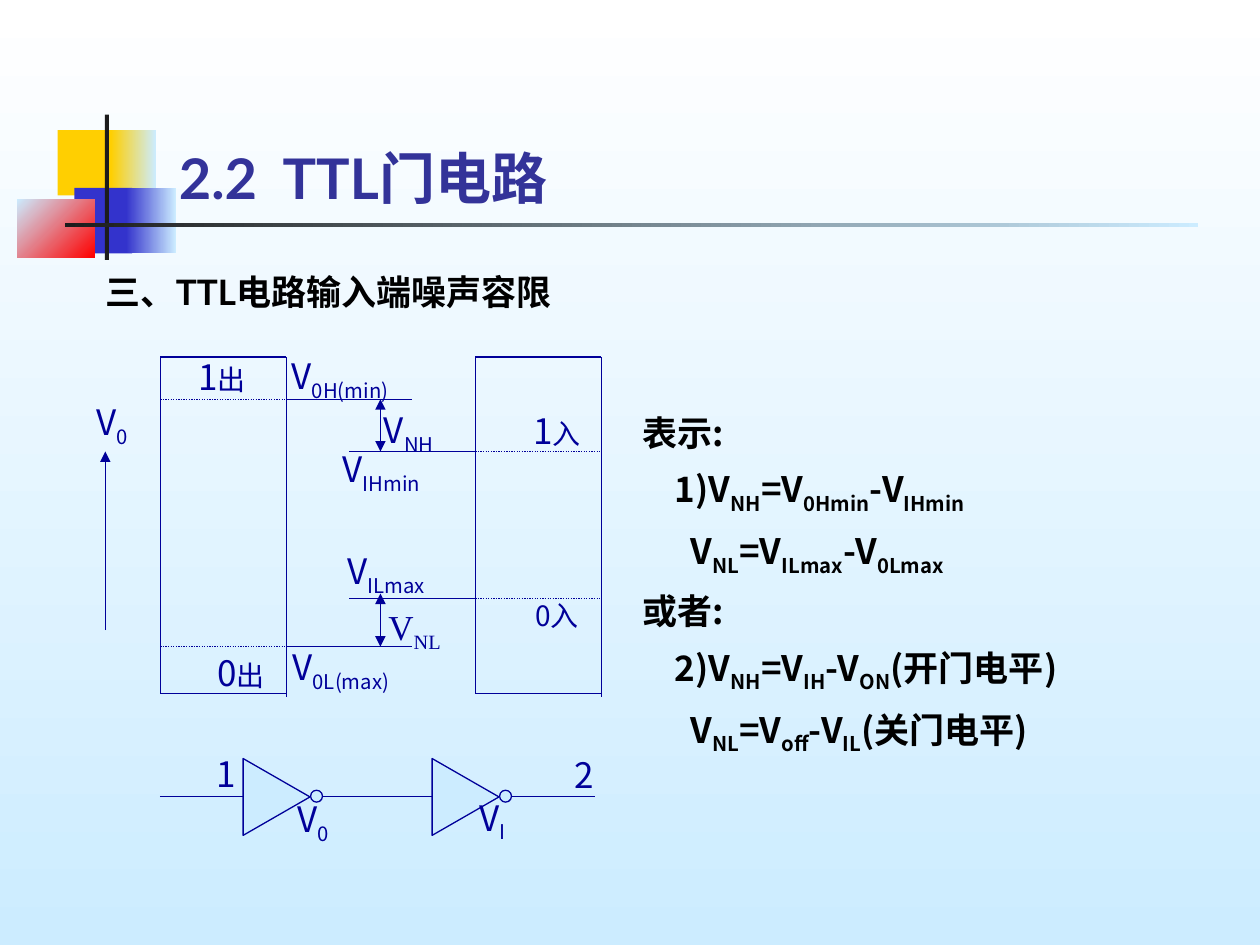
from lxml import etree
from pptx import Presentation
from pptx import util as u
from pptx.dml.color import RGBColor
from pptx.enum import dml, shapes, text
from pptx.oxml.ns import qn

SANS, SERIF, LATIN = "Noto Sans CJK SC", "Times New Roman", "Lato"
NAVY, SKY, BLACK, CHARCOAL = "000099", "CCECFF", "000000", "1C1C1C"
YELLOW, BLUE = "FFCF01", "3333CC"


def color(hex_string):
    return RGBColor.from_string(hex_string)


def write(paragraph, content, size=20, font=SANS, ink=NAVY, bold=False):
    """Add runs to a paragraph; text between tildes is subscript."""
    for i, piece in enumerate(content.split("~")):
        if not piece:
            continue
        run = paragraph.add_run()
        run.text = piece
        run.font.size = u.Pt(size)
        run.font.bold = bold
        run.font.color.rgb = color(ink)
        run.font.name = font
        properties = run._r.get_or_add_rPr()
        etree.SubElement(properties, qn("a:ea")).set("typeface", SANS)
        if i % 2:
            properties.set("baseline", "-25000")


def blend(fill, start, end, angle):
    """Two-colour gradient, angle clockwise in degrees."""
    fill.gradient()
    fill.gradient_angle = (360 - angle) % 360
    for stop, hex_string in zip(fill.gradient_stops, (start, end)):
        stop.color.rgb = color(hex_string)


class Board:
    ink = NAVY
    stroke = 0.75

    def __init__(self, slide):
        self.slide = slide

    def title(self, content, x, y, w, h):
        heading = self.slide.shapes.title
        heading.left, heading.top, heading.width, heading.height = map(u.Pt, (x, y, w, h))
        frame = heading.text_frame
        frame.margin_left = u.Pt(12.2)
        frame.vertical_anchor = text.MSO_ANCHOR.BOTTOM
        frame.paragraphs[0].alignment = text.PP_ALIGN.LEFT
        write(frame.paragraphs[0], content, size=32, font=LATIN, ink="333399", bold=True)

    def shape(self, kind, x, y, w, h, fill=SKY, fade=None, angle=0, outline=False, turn=0):
        part = self.slide.shapes.add_shape(kind, *map(u.Pt, (x, y, w, h)))
        part.shadow.inherit = False
        part.rotation = turn
        if fade:
            blend(part.fill, fill, fade, angle)
        else:
            part.fill.solid()
            part.fill.fore_color.rgb = color(fill)
        if outline:
            part.line.color.rgb = color(self.ink)
            part.line.width = u.Pt(self.stroke)
        else:
            part.line.fill.background()

    def line(self, x1, y1, x2, y2, dotted=False, arrows=()):
        wire = self.slide.shapes.add_connector(
            shapes.MSO_CONNECTOR.STRAIGHT, *map(u.Pt, (x1, y1, x2, y2)))
        wire.line.color.rgb = color(self.ink)
        wire.line.width = u.Pt(self.stroke)
        if dotted:
            wire.line.dash_style = dml.MSO_LINE.ROUND_DOT
        for end in arrows:
            etree.SubElement(wire.line._get_or_add_ln(), qn(f"a:{end}")).set("type", "triangle")
        etree.SubElement(wire._element.spPr, qn("a:effectLst"))

    def box(self, x, y, w, h, wrap=True):
        frame = self.slide.shapes.add_textbox(*map(u.Pt, (x, y, w, h))).text_frame
        frame.word_wrap = wrap
        return frame

    def label(self, content, center, y, w, suffix="", **style):
        frame = self.box(center - w / 2, y, w, 34, wrap=False)
        paragraph = frame.paragraphs[0]
        paragraph.alignment = text.PP_ALIGN.CENTER
        write(paragraph, content, **style)
        if suffix:
            write(paragraph, suffix, size=16, font=SERIF)

    def body(self, lines, x, y, w, h):
        frame = self.box(x, y, w, h)
        for i, (indent, content) in enumerate(lines):
            paragraph = frame.add_paragraph() if i else frame.paragraphs[0]
            paragraph.line_spacing = 1.3
            paragraph._p.get_or_add_pPr().set("marL", str(u.Pt(indent)))
            write(paragraph, content, ink=BLACK, bold=True)


def main():
    deck = Presentation()
    deck.slide_width, deck.slide_height = u.Pt(720), u.Pt(540)
    board = Board(deck.slides.add_slide(deck.slide_layouts[5]))
    blend(board.slide.background.fill, "FFFFFF", SKY, 90)
    kinds = shapes.MSO_SHAPE

    # Corner ornament and title rule
    for x, y, w, h, fill, fade, angle in (
        (33, 74.3, 34.6, 37.4, YELLOW, None, 0),
        (63.4, 74.3, 25.7, 37.4, YELLOW, SKY, 0),
        (42.5, 107.4, 33.1, 37.4, BLUE, None, 0),
        (72, 107.4, 28.6, 37.4, BLUE, SKY, 0),
        (9.8, 113.8, 44.3, 33.4, SKY, "FF0000", 45),
        (59.9, 65.6, 2.4, 83, CHARCOAL, None, 0),
        (36.9, 127.4, 648, 2.3, CHARCOAL, SKY, 0),
    ):
        board.shape(kinds.RECTANGLE, x, y, w, h, fill, fade, angle)

    # Headings
    board.title("2.2  TTL门电路", 90, 66.2, 511, 57.6)
    write(board.box(53.3, 151.2, 288.7, 31.7).paragraphs[0],
          "三、TTL电路输入端噪声容限", font=LATIN, ink=BLACK, bold=True)

    # Output and input level columns
    column, top, bottom = 72, 204, 396.2
    output, entry = 91.6, 271.6
    output_high, input_high, input_low, output_low = 228.2, 258, 342, 369.5
    for left, levels in ((output, (output_high, output_low)), (entry, (input_high, input_low))):
        right = left + column
        board.line(left, top, left, bottom)
        board.line(right, top, right, bottom + 2.2)
        for edge in (top, bottom):
            board.line(left, edge, right, edge)
        for level in levels:
            board.line(left, level, right, level, dotted=True)
            start = right if left == output else left - column
            board.line(start, level, start + column, level)

    # Noise margins and voltage axis
    margin = 217.4
    board.line(margin, output_high, margin, input_high, arrows=("headEnd", "tailEnd"))
    board.line(margin, output_low, margin, 339.2, arrows=("headEnd", "tailEnd"))
    board.line(60.2, 360, 60.2, input_high, arrows=("tailEnd",))

    # Two inverters in series
    for left in (136.1, 244.1):
        board.shape(kinds.ISOSCELES_TRIANGLE, left, 436.3, 43.9, 38.2, outline=True, turn=90)
        board.shape(kinds.OVAL, left + 41.4, 451.6, 6.8, 6.8, outline=True)
    for start, end in ((91.4, 139), (184.3, 247), (292.3, 339.8)):
        board.line(start, 455, end, 455)

    # Level labels
    board.label("1", 126.7, 199.4, 64, suffix="出")
    board.label("0", 137.7, 368.6, 64, suffix="出")
    board.label("1", 318.2, 230.4, 64, suffix="入")
    board.label("0", 318.2, 338.4, 60, suffix="入", size=16)
    board.label("V~NL~", 236.9, 342.4, 64, font=SERIF)
    for content, center, y, w in (
        ("V~0H(min)~", 194.4, 198.9, 76),
        ("V~0L(max)~", 194.8, 365.2, 76),
        ("V~NH~", 233.6, 229.9, 50),
        ("V~IHmin~", 217.9, 252, 66),
        ("V~ILmax~", 220.7, 310.5, 66),
        ("V~0~", 64, 225.4, 38),
        ("1", 129.2, 426.2, 31),
        ("2", 333.9, 427, 31),
        ("V~0~", 178.8, 452.2, 38),
        ("V~I~", 281.5, 451.4, 35),
    ):
        board.label(content, center, y, w)

    # Formulas
    board.body((
        (0, "表示:"),
        (18.5, "1)V~NH~=V~0Hmin~-V~IHmin~"),
        (27.5, "V~NL~=V~ILmax~-V~0Lmax~"),
        (0, "或者:"),
        (18.5, "2)V~NH~=V~IH~-V~ON~(开门电平)"),
        (27.5, "V~NL~=V~off~-V~IL~(关门电平)"),
    ), 360, 224.2, 360, 211.7)

    deck.save("out.pptx")


if __name__ == "__main__":
    main()
